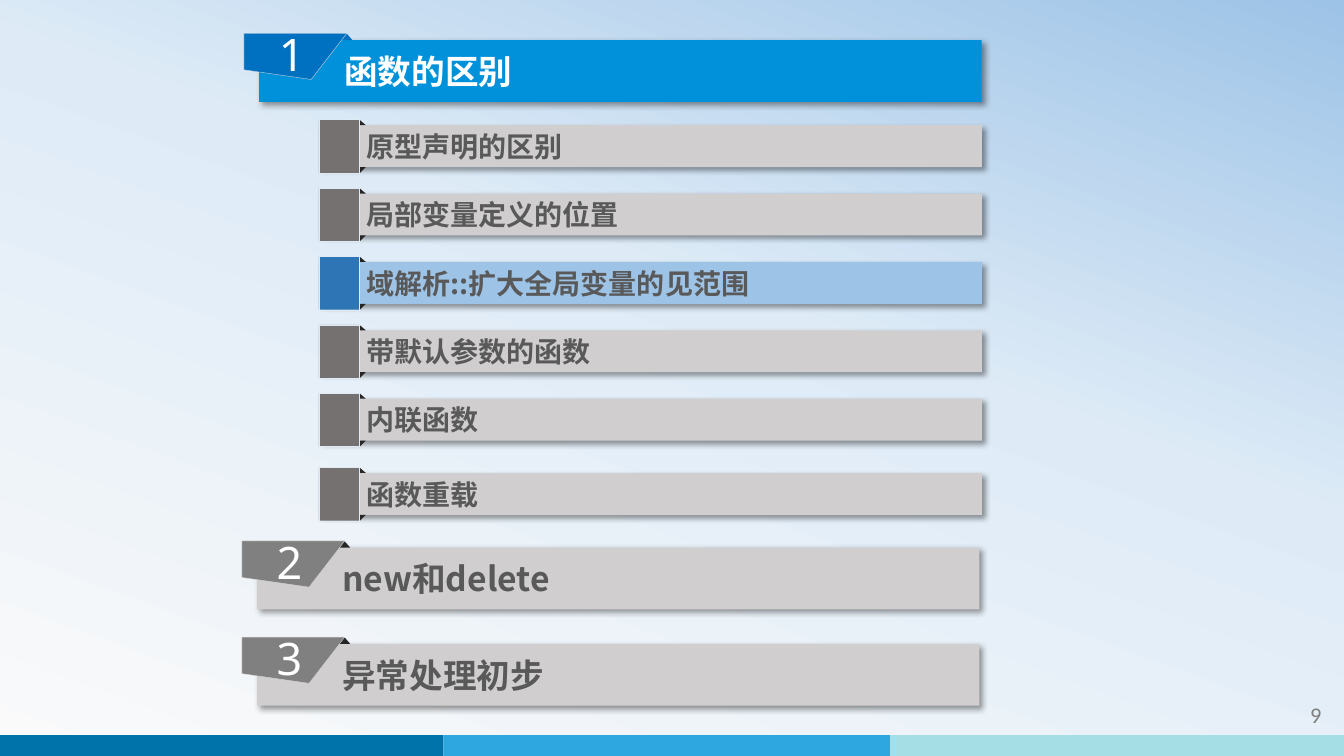
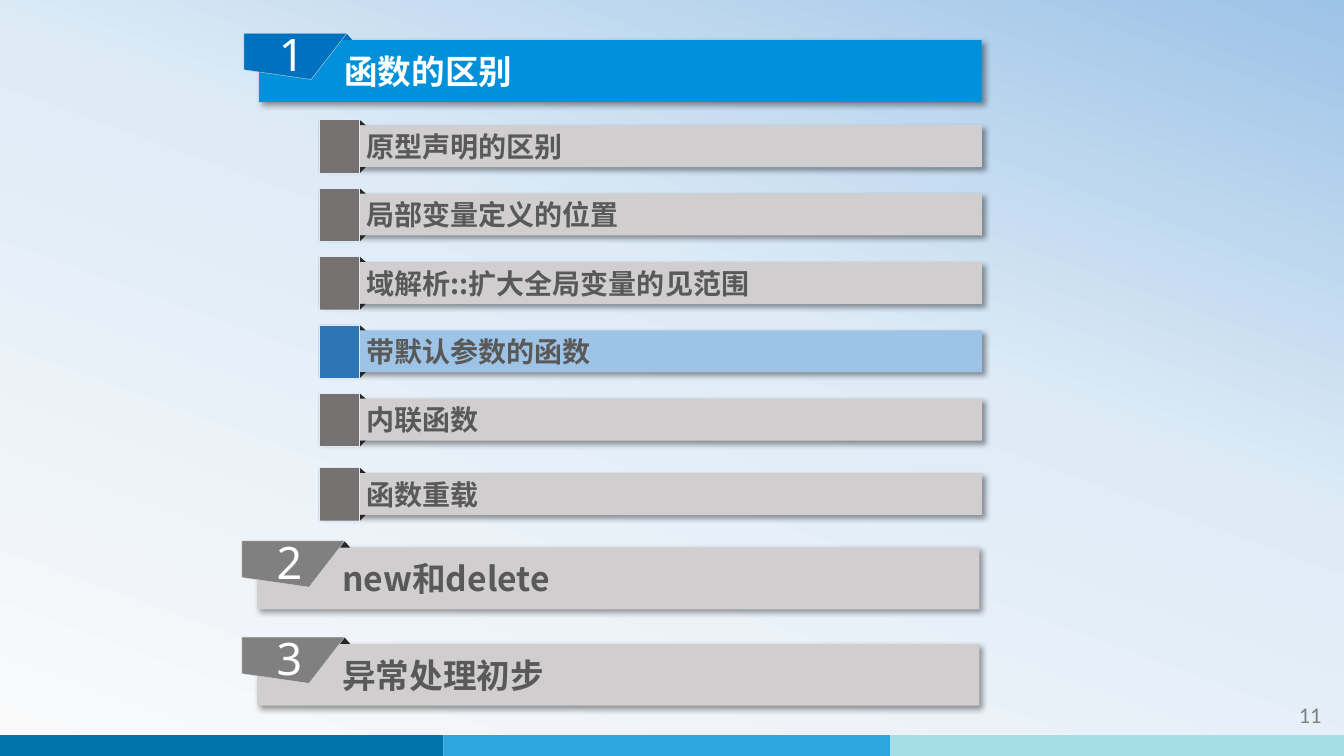
import copy

import pptx
import pptx.dml.color
import pptx.enum.shapes
import pptx.enum.text
import pptx.oxml
import pptx.oxml.ns
import pptx.util

RGBColor = pptx.dml.color.RGBColor
SHAPE = pptx.enum.shapes.MSO_SHAPE
ALIGN = pptx.enum.text.PP_ALIGN
ANCHOR = pptx.enum.text.MSO_ANCHOR

WHITE = RGBColor(0xFF, 0xFF, 0xFF)
BAR_GRAY = RGBColor(0xD0, 0xCE, 0xCE)
MARKER_GRAY = RGBColor(0x76, 0x71, 0x71)
MID_GRAY = RGBColor(0x80, 0x80, 0x80)
TAB_EDGE = RGBColor(0xD9, 0xD9, 0xD9)
TEXT_GRAY = RGBColor(0x59, 0x59, 0x59)
FOLD = RGBColor(0x26, 0x26, 0x26)
CHAPTER_BLUE = RGBColor(0x00, 0x91, 0xDA)
TAB_BLUE = RGBColor(0x00, 0x70, 0xC0)
TOPIC_BLUE = RGBColor(0x9D, 0xC3, 0xE6)
MARKER_BLUE = RGBColor(0x2E, 0x75, 0xB6)
PALE_BLUE = RGBColor(0xDE, 0xEB, 0xF7)
NEAR_WHITE = RGBColor(0xFA, 0xFA, 0xFA)
BANDS = (
    (0, RGBColor(0x00, 0x73, 0xAB)),
    (52.8, RGBColor(0x2E, 0xA7, 0xE0)),
    (106, RGBColor(0xA5, 0xDE, 0xE4)),
)
BACKDROP = ((0, NEAR_WHITE), (0.58, PALE_BLUE), (1, TOPIC_BLUE))

CJK = "Noto Sans CJK SC"
COLUMNS, ROWS = 160, 90

CHAPTERS = (
    ("函数的区别", 30.85, 4.77),
    ("new和delete", 30.6, 65.2),
    ("异常处理初步", 30.6, 76.65),
)
TOPICS = (
    "原型声明的区别",
    "局部变量定义的位置",
    "域解析::扩大全局变量的见范围",
    "带默认参数的函数",
    "内联函数",
    "函数重载",
)
TOPIC_LEFT, TOPIC_TOP, TOPIC_PITCH, LAST_TOPIC_GAP = 38.1, 14.9, 8.14, 0.7

SHADOW_XML = (
    f'<a:outerShdw {pptx.oxml.ns.nsdecls("a")} blurRad="50800" dist="38100" '
    'dir="2700000" algn="tl" rotWithShape="0">'
    '<a:srgbClr val="000000"><a:alpha val="40000"/></a:srgbClr></a:outerShdw>'
)


class AgendaDeck:
    def __init__(self):
        self.deck = pptx.Presentation()
        self.deck.slide_width = pptx.util.Inches(13.33)
        self.deck.slide_height = pptx.util.Inches(7.5)
        self.slide = None

    def x(self, columns):
        return round(self.deck.slide_width * columns / COLUMNS)

    def y(self, rows):
        return round(self.deck.slide_height * rows / ROWS)

    def box(self, left, top, width, height):
        return self.x(left), self.y(top), self.x(width), self.y(height)

    def new_slide(self, number):
        self.slide = self.deck.slides.add_slide(self.deck.slide_layouts[6])
        self.backdrop()
        self.footer(number)

    def backdrop(self):
        fill = self.slide.background.fill
        fill.gradient()
        fill.gradient_angle = 70
        first_stop = self.slide.element.find(".//" + pptx.oxml.ns.qn("a:gs"))
        first_stop.addnext(copy.deepcopy(first_stop))
        for stop, (position, color) in zip(fill.gradient_stops, BACKDROP):
            stop.position = position
            stop.color.rgb = color

    def footer(self, number):
        ends = [start for start, _ in BANDS[1:]] + [COLUMNS]
        for (start, color), end in zip(BANDS, ends):
            self.preset(SHAPE.RECTANGLE, (start, 87.5, end - start, 2.5), color)
        page = self.slide.shapes.add_textbox(*self.box(139.4, 82.9, 19.1, 4.8))
        page.text_frame.word_wrap = True
        self.label(page, str(number), "Calibri", 16, MID_GRAY, ALIGN.RIGHT)

    def paint(self, shape, fill, edge=None):
        shape.shadow.inherit = False
        shape.fill.solid()
        shape.fill.fore_color.rgb = fill
        if edge is None:
            shape.line.fill.background()
        else:
            shape.line.color.rgb = edge
            shape.line.width = pptx.util.Pt(0.25)

    def preset(self, kind, place, fill, edge=None):
        shape = self.slide.shapes.add_shape(kind, *self.box(*place))
        self.paint(shape, fill, edge)
        return shape

    def label(self, shape, text, font_name, size, color, align, bold=False):
        paragraph = shape.text_frame.paragraphs[0]
        paragraph.alignment = align
        run = paragraph.add_run()
        run.text = text
        run.font.name = font_name
        run.font.size = pptx.util.Pt(size)
        run.font.bold = bold
        run.font.color.rgb = color
        east_asian = pptx.oxml.parse_xml(
            f'<a:ea {pptx.oxml.ns.nsdecls("a")} typeface="{font_name}"/>'
        )
        shape.element.find(".//" + pptx.oxml.ns.qn("a:latin")).addnext(east_asian)

    def bar(self, place, fill, text, size, color, indent):
        bar = self.preset(SHAPE.RECTANGLE, place, fill)
        effects = bar.element.spPr.find(pptx.oxml.ns.qn("a:effectLst"))
        effects.append(pptx.oxml.parse_xml(SHADOW_XML))
        bar.text_frame.margin_left = self.x(indent)
        bar.text_frame.vertical_anchor = ANCHOR.MIDDLE
        self.label(bar, text, CJK, size, color, ALIGN.LEFT, bold=True)

    def chapter(self, number, text, left, top, active):
        bar_fill, tab_fill, fold_fill, color = (
            (CHAPTER_BLUE, TAB_BLUE, TAB_BLUE, WHITE)
            if active
            else (BAR_GRAY, MID_GRAY, FOLD, TEXT_GRAY)
        )
        self.bar((left, top, 86, 7.35), bar_fill, text, 24, color, 10.15)
        self.preset(SHAPE.ISOSCELES_TRIANGLE, (left + 9.7, top - 0.8, 1.4, 0.8), fold_fill)
        self.tab(number, left - 1.8, top - 0.8, tab_fill)

    def tab(self, number, left, top, fill):
        outline = self.slide.shapes.build_freeform(self.x(left), self.y(top))
        corners = ((12.25, 0), (8, 5.5), (0, 4.35))
        outline.add_line_segments(
            [(self.x(left + across), self.y(top + down)) for across, down in corners]
        )
        tab = outline.convert_to_shape()
        self.paint(tab, fill, TAB_EDGE)
        frame = tab.text_frame
        frame.margin_left, frame.margin_right = self.x(1.1), self.x(2)
        frame.margin_top, frame.margin_bottom = self.y(0.5), self.y(1.2)
        frame.vertical_anchor = ANCHOR.MIDDLE
        self.label(tab, str(number), "Noto Sans", 32, WHITE, ALIGN.CENTER)

    def topic(self, text, top, active):
        bar_fill, marker_fill = (
            (TOPIC_BLUE, MARKER_BLUE) if active else (BAR_GRAY, MARKER_GRAY)
        )
        left = TOPIC_LEFT
        self.bar((left, top, 78.8, 5), bar_fill, text, 20, TEXT_GRAY, 5.5)
        fold = SHAPE.ISOSCELES_TRIANGLE
        self.preset(fold, (left + 4.05, top - 0.6, 1.4, 0.6), FOLD)
        lower_fold = self.preset(fold, (left + 4.05, top + 5, 1.4, 0.7), FOLD)
        lower_fold.element.spPr.xfrm.set("flipV", "1")
        self.preset(
            SHAPE.RECTANGLE, (left - 0.15, top - 0.65, 4.8, 6.35), marker_fill, PALE_BLUE
        )

    def agenda(self, number, current_topic):
        self.new_slide(number)
        for index, text in enumerate(TOPICS):
            top = TOPIC_TOP + index * TOPIC_PITCH
            if index == len(TOPICS) - 1:
                top += LAST_TOPIC_GAP
            self.topic(text, top, index == current_topic)
        for index, (text, left, top) in enumerate(CHAPTERS):
            self.chapter(index + 1, text, left, top, index == 0)


def main():
    agenda = AgendaDeck()
    for number, current_topic in ((9, 2), (11, 3)):
        agenda.agenda(number, current_topic)
    agenda.deck.save("out.pptx")


if __name__ == "__main__":
    main()
